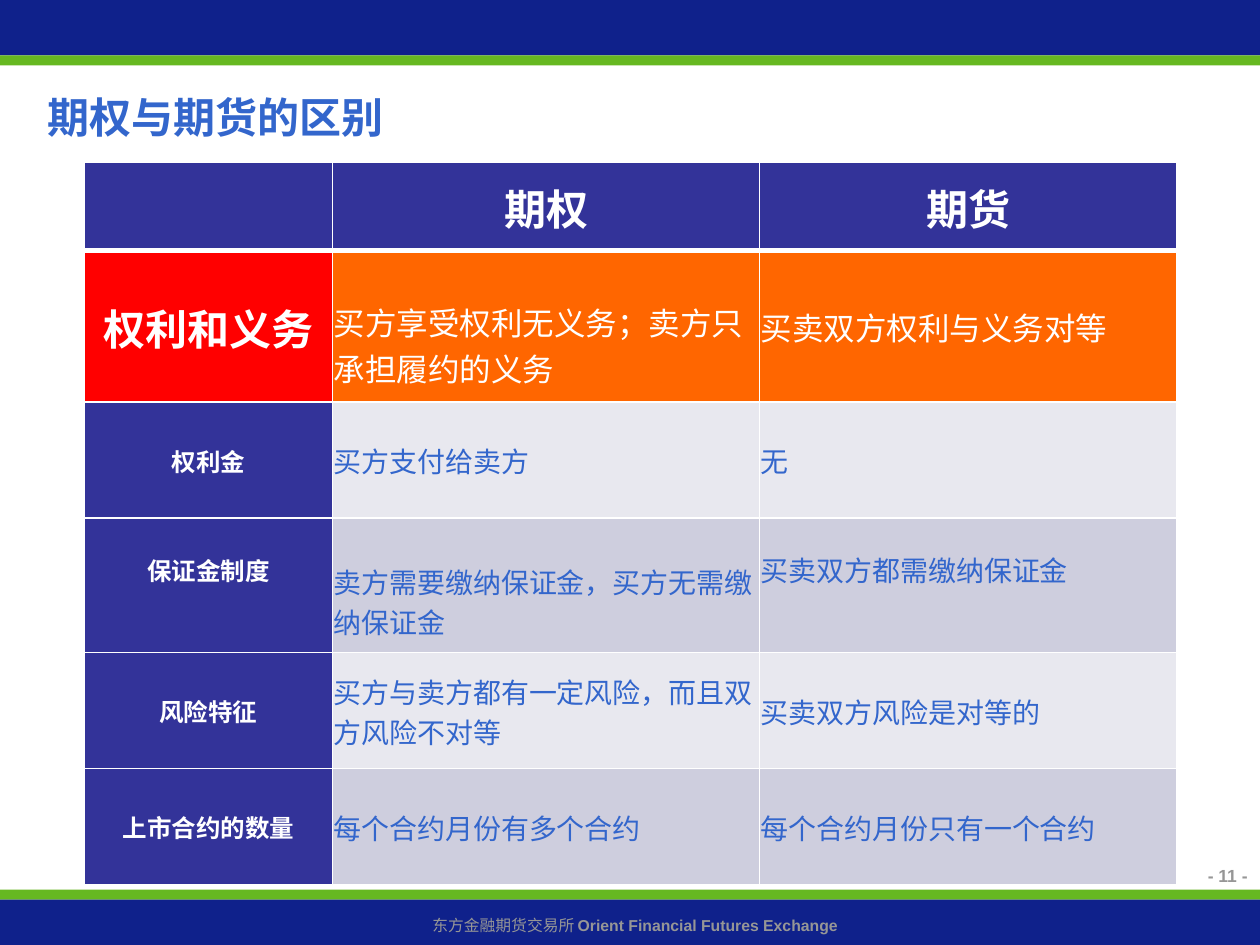
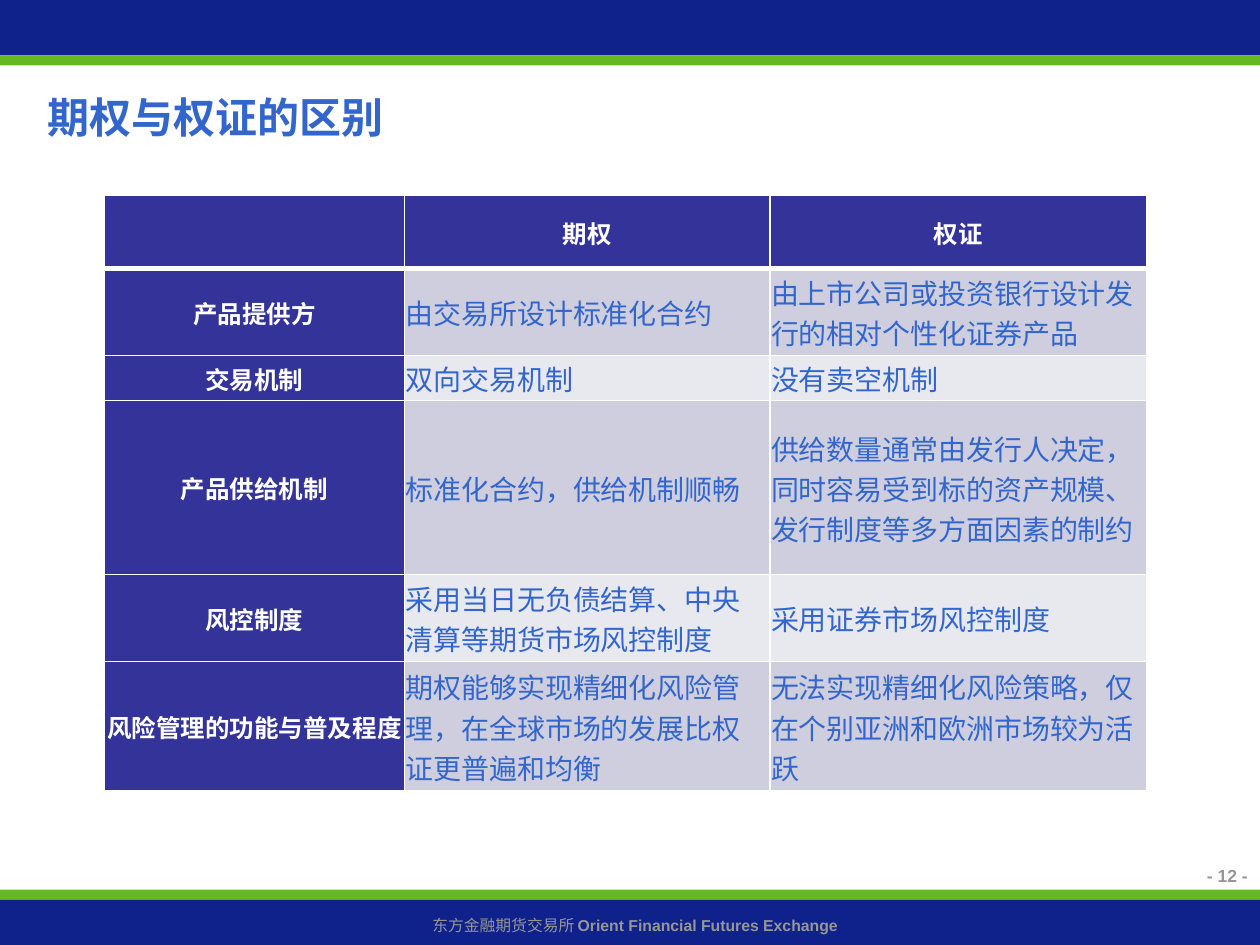
"""Build two slides that compare options with futures and with warrants."""
import pptx
import pptx.dml.color
import pptx.enum.shapes
import pptx.enum.text
import pptx.oxml.ns
import pptx.util
from lxml import etree

Inches = pptx.util.Inches
Pt = pptx.util.Pt
ALIGN = pptx.enum.text.PP_ALIGN
ANCHOR = pptx.enum.text.MSO_ANCHOR

WIDTH, HEIGHT = 10, 7.5
THEME = {
    "navy": "0F218B", "green": "66B821", "grey": "969696", "white": "FFFFFF",
    "blue": "3366CC", "indigo": "333399", "red": "FF0000", "orange": "FF6600",
    "bands": ("E8E8EF", "CECEDE"),
    "latin": "Arial", "cjk": "Noto Sans CJK SC",
    "title": 24, "strong": 24, "lead": 18, "body": 16, "label": 14, "number": 10, "footer": 9,
}
BANDS = [("navy", 0, 0.44), ("green", 0.44, 0.08), ("green", 7.06, 0.08), ("navy", 7.14, 0.36)]
FOOTER = [("东方金融期货交易所 ", False), ("Orient Financial Futures Exchange", True)]

SLIDES = [
    {
        "number": 11,
        "title": "期权与期货的区别",
        "corner": (0.67, 1.29),
        "columns": [1.97, 3.39, 3.31],
        "rows": [0.7, 1.2, 0.92, 1.07, 0.92, 0.92],
        "header_size": "strong",
        "highlight": 1,
        "padding": {(1, 1): ("top", 0.29), (3, 0): ("bottom", 0.26),
                    (3, 1): ("top", 0.26), (3, 2): ("bottom", 0.26)},
        "cells": [
            ("", "期权", "期货"),
            ("权利和义务", "买方享受权利无义务；卖方只承担履约的义务", "买卖双方权利与义务对等"),
            ("权利金", "买方支付给卖方", "无"),
            ("保证金制度", "卖方需要缴纳保证金，买方无需缴纳保证金", "买卖双方都需缴纳保证金"),
            ("风险特征", "买方与卖方都有一定风险，而且双方风险不对等", "买卖双方风险是对等的"),
            ("上市合约的数量", "每个合约月份有多个合约", "每个合约月份只有一个合约"),
        ],
    },
    {
        "number": 12,
        "title": "期权与权证的区别",
        "corner": (0.83, 1.55),
        "columns": [2.38, 2.9, 2.99],
        "rows": [0.58, 0.69, 0.36, 1.38, 0.69, 1.03],
        "header_size": "label",
        "highlight": None,
        "padding": {},
        "cells": [
            ("", "期权", "权证"),
            ("产品提供方", "由交易所设计标准化合约", "由上市公司或投资银行设计发行的相对个性化证券产品"),
            ("交易机制", "双向交易机制", "没有卖空机制"),
            ("产品供给机制", "标准化合约，供给机制顺畅",
             "供给数量通常由发行人决定，同时容易受到标的资产规模、发行制度等多方面因素的制约"),
            ("风控制度", "采用当日无负债结算、中央清算等期货市场风控制度", "采用证券市场风控制度"),
            ("风险管理的功能与普及程度", "期权能够实现精细化风险管理，在全球市场的发展比权证更普遍和均衡",
             "无法实现精细化风险策略，仅在个别亚洲和欧洲市场较为活跃"),
        ],
    },
]


def rgb(value):
    return pptx.dml.color.RGBColor.from_string(value)


def apply(target, values):
    for name, value in values.items():
        setattr(target, name, value)


def write(para, text, size, color, bold, font="latin"):
    span = para.add_run()
    span.text = text
    apply(span.font, {"size": Pt(THEME[size]), "bold": bold, "name": THEME[font]})
    span.font.color.rgb = rgb(THEME[color])
    east = etree.SubElement(span.font._element, pptx.oxml.ns.qn("a:ea"))
    east.set("typeface", THEME["cjk"])


def place(shape, left, top, width, height):
    apply(shape, {"left": Inches(left), "top": Inches(top),
                  "width": Inches(width), "height": Inches(height)})


def add_line(page, left, top, width, height, align, spans, size):
    box = page.shapes.add_textbox(Inches(left), Inches(top), Inches(width), Inches(height))
    box.text_frame.word_wrap = True
    para = box.text_frame.paragraphs[0]
    para.alignment = align
    for text, bold in spans:
        write(para, text, size, "grey", bold)


def add_frame(page, number, title):
    for color, top, height in BANDS:
        band = page.shapes.add_shape(pptx.enum.shapes.MSO_SHAPE.RECTANGLE, 0,
                                     Inches(top), Inches(WIDTH), Inches(height))
        band.shadow.inherit = False
        band.fill.solid()
        band.fill.fore_color.rgb = rgb(THEME[color])
        band.line.fill.background()
    add_line(page, 0.08, 7.22, 9.92, 0.25, ALIGN.CENTER, FOOTER, "footer")
    add_line(page, 8.03, 6.82, 1.97, 0.36, ALIGN.RIGHT, [(f"- {number} -", True)], "number")
    heading = page.shapes.title
    place(heading, 0.28, 0.6, 8.66, 0.59)
    apply(heading.text_frame, {"vertical_anchor": ANCHOR.TOP, "word_wrap": True,
                               "auto_size": pptx.enum.text.MSO_AUTO_SIZE.NONE})
    para = heading.text_frame.paragraphs[0]
    apply(para, {"alignment": ALIGN.LEFT, "line_spacing": 1.2})
    write(para, title, "title", "blue", True, "cjk")


def add_borders(cell, row):
    widths = {"L": 1, "R": 1, "T": 3 if row == 1 else 1, "B": 3 if row == 0 else 1}
    properties = cell._tc.get_or_add_tcPr()
    for side, width in widths.items():
        line = etree.SubElement(properties, pptx.oxml.ns.qn(f"a:ln{side}"), w=str(Pt(width)))
        fill = etree.SubElement(line, pptx.oxml.ns.qn("a:solidFill"))
        etree.SubElement(fill, pptx.oxml.ns.qn("a:srgbClr"), val=THEME["white"])


def cell_style(row, column, content):
    """Return fill, text size, text colour and whether the cell is a heading."""
    marked = row == content["highlight"]
    if row == 0:
        return THEME["indigo"], content["header_size"], "white", True
    if column == 0:
        return THEME["red" if marked else "indigo"], "strong" if marked else "label", "white", True
    if marked:
        return THEME["orange"], "lead", "white", False
    return THEME["bands"][row % 2], "body", "blue", False


def add_comparison(page, content):
    columns, rows = content["columns"], content["rows"]
    left, top = content["corner"]
    table = page.shapes.add_table(len(rows), len(columns), Inches(left), Inches(top),
                                  Inches(sum(columns)), Inches(sum(rows))).table
    for column, width in zip(table.columns, columns):
        column.width = Inches(width)
    for row, height in zip(table.rows, rows):
        row.height = Inches(height)
    for row, texts in enumerate(content["cells"]):
        for column, text in enumerate(texts):
            cell = table.cell(row, column)
            fill, size, color, heading = cell_style(row, column, content)
            margins = {"left": 0.01, "top": 0.01, "right": 0.01, "bottom": 0}
            margins.update([content["padding"].get((row, column), ("left", 0.01))])
            apply(cell, {f"margin_{side}": Inches(size_in) for side, size_in in margins.items()})
            cell.vertical_anchor = ANCHOR.MIDDLE
            add_borders(cell, row)
            cell.fill.solid()
            cell.fill.fore_color.rgb = rgb(fill)
            if text:
                para = cell.text_frame.paragraphs[0]
                para.alignment = ALIGN.CENTER if heading else ALIGN.LEFT
                write(para, text, size, color, heading, "latin" if heading else "cjk")


deck = pptx.Presentation()
apply(deck, {"slide_width": Inches(WIDTH), "slide_height": Inches(HEIGHT)})
title_only = deck.slide_layouts.get_by_name("Title Only")
for content in SLIDES:
    page = deck.slides.add_slide(title_only)
    add_frame(page, content["number"], content["title"])
    add_comparison(page, content)
deck.save("out.pptx")
